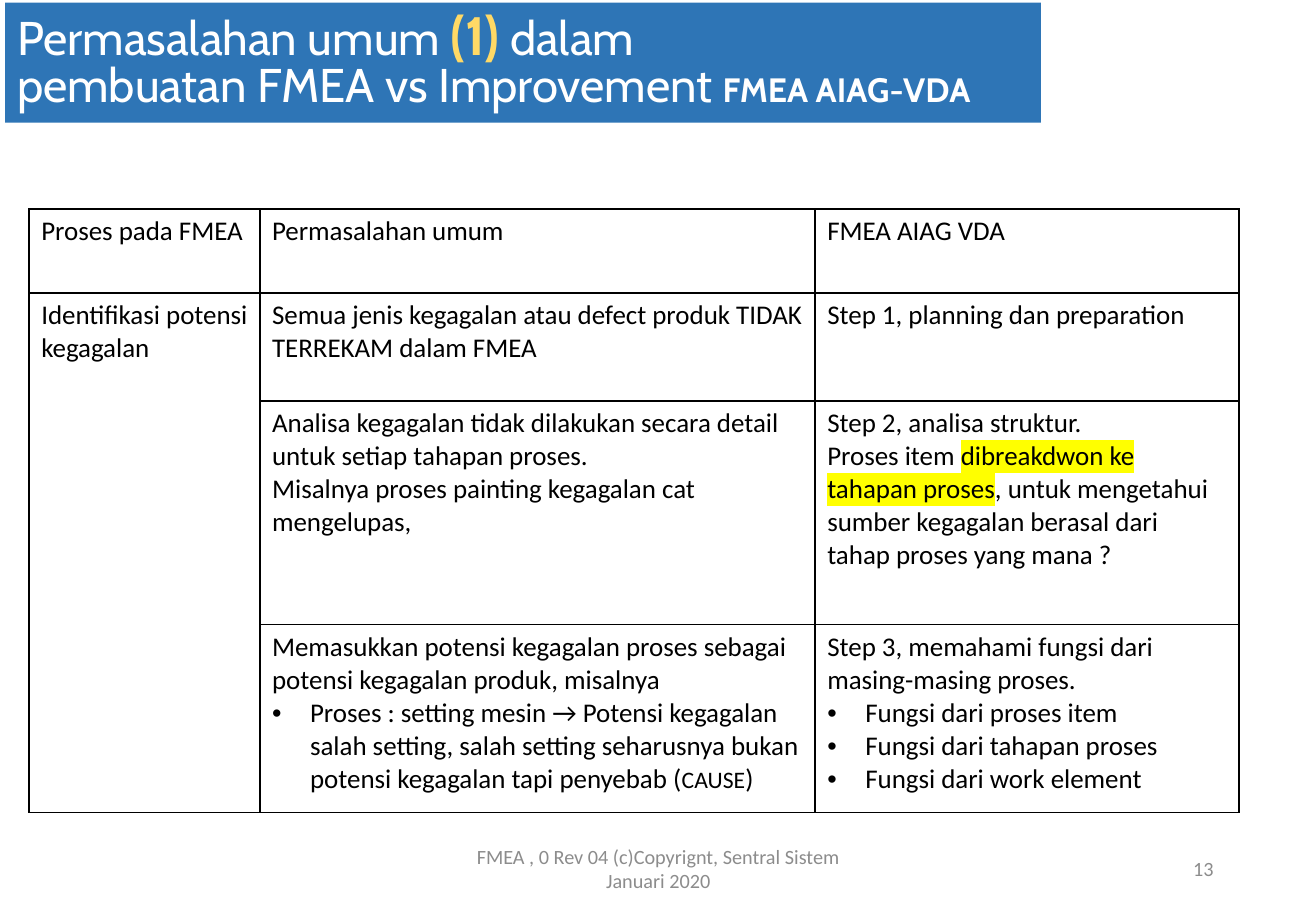
from lxml.etree import SubElement
from pptx import Presentation
from pptx.dml.color import RGBColor
from pptx.enum.shapes import MSO_SHAPE
from pptx.enum.text import MSO_ANCHOR, PP_ALIGN
from pptx.oxml.ns import qn
from pptx.util import Pt

BLACK = RGBColor(0x00, 0x00, 0x00)
WHITE = RGBColor(0xFF, 0xFF, 0xFF)
BLUE = RGBColor(0x2E, 0x75, 0xB6)
GOLD = RGBColor(0xFF, 0xD9, 0x66)
GREY = RGBColor(0x8C, 0x8C, 0x8C)
YELLOW = RGBColor(0xFF, 0xFF, 0x00)

COLUMN_WIDTHS = [136.8, 329.1, 251.3]
ROW_HEIGHTS = [49.7, 64.1, 132.5, 111.6]
BULLET_INDENT = Pt(22.5)

TABLE_TEXT = [
    [["Proses pada FMEA"], ["Permasalahan umum"], ["FMEA AIAG VDA"]],
    [
        ["Identifikasi potensi kegagalan"],
        ["Semua jenis kegagalan atau defect produk TIDAK TERREKAM dalam FMEA"],
        ["Step 1, planning dan preparation"],
    ],
    [
        [],
        [
            "Analisa kegagalan tidak dilakukan secara detail untuk setiap tahapan proses.",
            "Misalnya proses painting kegagalan cat mengelupas,",
        ],
        [
            "Step 2, analisa struktur.",
            [
                ("Proses item ", {}),
                ("dibreakdwon ke tahapan proses", {"highlight": YELLOW}),
                (", untuk mengetahui sumber kegagalan berasal dari tahap proses yang mana ?", {}),
            ],
        ],
    ],
    [
        [],
        [
            "Memasukkan potensi kegagalan proses sebagai potensi kegagalan produk, misalnya",
            [
                ("• Proses : setting mesin → Potensi kegagalan salah setting, salah setting "
                 "seharusnya bukan potensi kegagalan tapi penyebab (", {}),
                ("CAUSE", {"size": 14}),
                (")", {}),
            ],
        ],
        [
            "Step 3, memahami fungsi dari masing-masing proses.",
            "• Fungsi dari proses item",
            "• Fungsi dari tahapan proses",
            "• Fungsi dari work element",
        ],
    ],
]


def add_span(para, text, size=16, color=BLACK, font="Calibri", bold=False, highlight=None):
    span = para.add_run()
    span.text = text
    span.font.size = Pt(size)
    span.font.name = font
    span.font.bold = bold
    span.font.color.rgb = color
    if highlight is not None:
        properties = span.font._element
        mark = SubElement(properties, qn("a:highlight"))
        SubElement(mark, qn("a:srgbClr"), val=str(highlight))
        properties.find(qn("a:solidFill")).addnext(mark)


def add_bullet(para):
    properties = para._p.get_or_add_pPr()
    properties.set("marL", str(BULLET_INDENT))
    properties.set("indent", str(-BULLET_INDENT))
    SubElement(properties, qn("a:buFont"), typeface="Arial")
    SubElement(properties, qn("a:buChar"), char="•")


def fill_paragraphs(frame, paragraphs):
    for index, content in enumerate(paragraphs):
        para = frame.paragraphs[0] if index == 0 else frame.add_paragraph()
        spans = [(content, {})] if isinstance(content, str) else content
        if spans[0][0].startswith("• "):
            add_bullet(para)
        for text, style in spans:
            add_span(para, text.removeprefix("• "), **style)


def add_borders(cell):
    properties = cell._tc.get_or_add_tcPr()
    for side in ("lnL", "lnR", "lnT", "lnB"):
        line = SubElement(properties, qn(f"a:{side}"), w=str(Pt(1)))
        fill = SubElement(line, qn("a:solidFill"))
        SubElement(fill, qn("a:srgbClr"), val=str(BLACK))


def add_title(page):
    box = page.shapes.add_shape(MSO_SHAPE.RECTANGLE, Pt(3), Pt(1.6), Pt(614), Pt(71.2))
    box.shadow.inherit = False
    box.fill.solid()
    box.fill.fore_color.rgb = BLUE
    box.line.fill.background()
    frame = box.text_frame
    frame.word_wrap = True
    frame.vertical_anchor = MSO_ANCHOR.MIDDLE
    plain = {"size": 28, "color": WHITE, "font": "Cabin"}
    number = {"size": 32, "color": GOLD, "font": "Cabin", "bold": True}
    standard = {"size": 20, "color": WHITE, "font": "Cabin", "bold": True}
    fill_paragraphs(frame, [
        [("Permasalahan umum ", plain), ("(1)", number), (" dalam", plain)],
        [("pembuatan FMEA vs Improvement ", plain), ("FMEA AIAG-VDA", standard)],
    ])
    for para in frame.paragraphs:
        para.alignment = PP_ALIGN.LEFT
        para.line_spacing = 0.8


def add_problem_table(page):
    table = page.shapes.add_table(
        len(ROW_HEIGHTS), len(COLUMN_WIDTHS), Pt(17.3), Pt(123.9),
        Pt(sum(COLUMN_WIDTHS)), Pt(sum(ROW_HEIGHTS)),
    ).table
    table.first_row = False
    table.horz_banding = False
    for column, width in zip(table.columns, COLUMN_WIDTHS):
        column.width = Pt(width)
    for row, height in zip(table.rows, ROW_HEIGHTS):
        row.height = Pt(height)
    table.cell(1, 0).merge(table.cell(3, 0))
    for row, texts in zip(table.rows, TABLE_TEXT):
        for cell, paragraphs in zip(row.cells, texts):
            add_borders(cell)
            cell.fill.background()
            fill_paragraphs(cell.text_frame, paragraphs)


def add_footer(page, left, width, text, alignment):
    box = page.shapes.add_textbox(Pt(left), Pt(500.4), Pt(width), Pt(28.8))
    frame = box.text_frame
    frame.word_wrap = True
    frame.vertical_anchor = MSO_ANCHOR.MIDDLE
    fill_paragraphs(frame, [[(text, {"size": 12, "color": GREY})]])
    frame.paragraphs[0].alignment = alignment


def main():
    deck = Presentation()
    deck.slide_width = Pt(780)
    deck.slide_height = Pt(540)
    page = deck.slides.add_slide(deck.slide_layouts[6])
    add_problem_table(page)
    add_title(page)
    add_footer(page, 550.8, 175.7, "13", PP_ALIGN.RIGHT)
    add_footer(page, 258.5, 263.5, "FMEA , 0 Rev 04 (c)Copyrignt, Sentral Sistem Januari 2020",
               PP_ALIGN.CENTER)
    deck.save("out.pptx")


if __name__ == "__main__":
    main()
